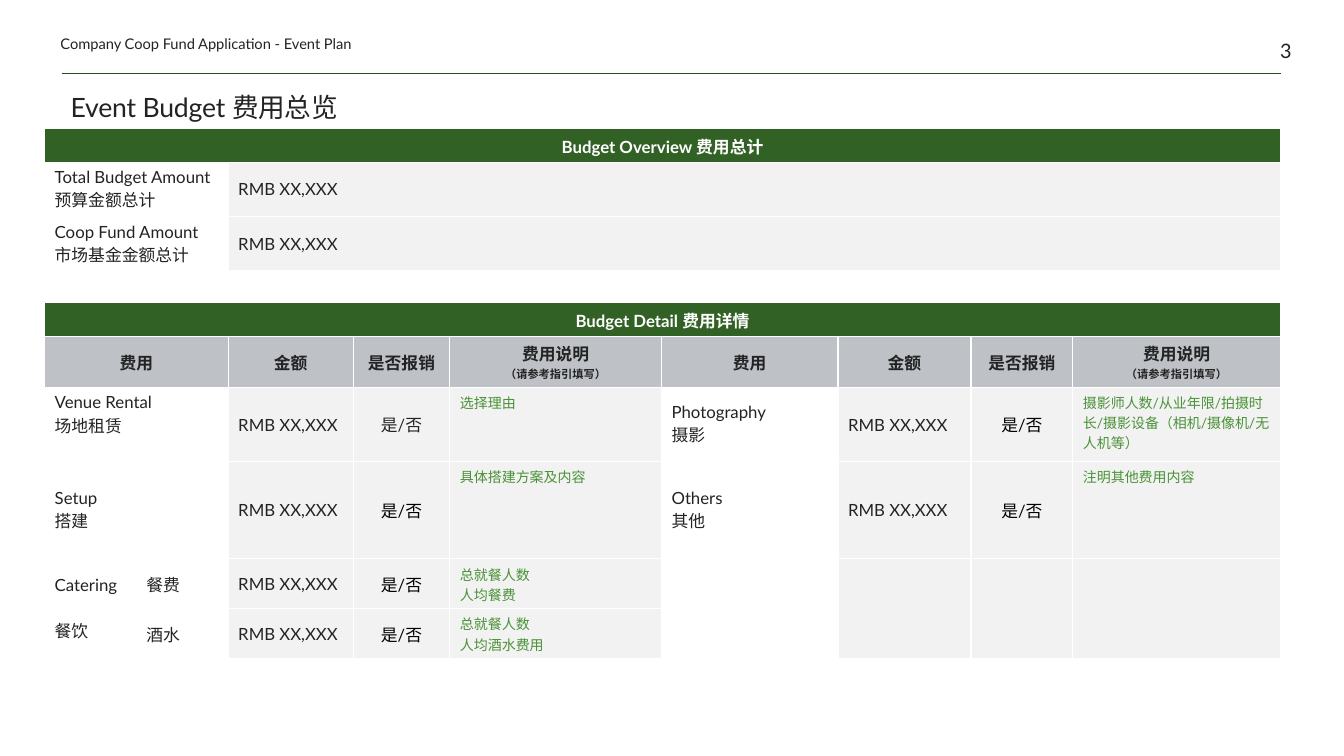
import pptx
import pptx.util
import pptx.dml.color
import pptx.enum.shapes
import pptx.enum.text
import pptx.oxml
import pptx.oxml.ns

RGBColor = pptx.dml.color.RGBColor
Align = pptx.enum.text.PP_ALIGN
Anchor = pptx.enum.text.MSO_ANCHOR

INK = RGBColor(0x23, 0x23, 0x23)
BLACK = RGBColor(0, 0, 0)
WHITE = RGBColor(0xFF, 0xFF, 0xFF)
BANNER_GREEN = RGBColor(0x32, 0x61, 0x25)
RULE_GREEN = RGBColor(0x28, 0x4E, 0x1E)
HINT_GREEN = RGBColor(0x4B, 0x92, 0x38)
HEADING_GREY = RGBColor(0xBE, 0xC1, 0xC6)
ENTRY_GREY = RGBColor(0xF2, 0xF2, 0xF2)

FONT = "Lato"
PAGE_WIDTH = pptx.util.Inches(13.33)
PAGE_HEIGHT = pptx.util.Inches(7.5)
COLUMN_SHARES = [6.83, 6.83, 9.3, 7.2, 15.75, 13.13, 9.9, 7.58, 15.45]
ROW_SHARES = [4.45, 7.2, 7.2, 4.2, 4.45, 6.75, 9.85, 12.85, 6.6, 6.6]

HEADINGS = ["费用", "金额", "是否报销", "费用说明\n（请参考指引填写）"]
AMOUNT = "RMB XX,XXX"
CHOICE = "是/否"
TOTALS = ["Total Budget Amount\n预算金额总计", "Coop Fund Amount\n市场基金金额总计"]
ENTRIES = [
    (6, 2, "选择理由"),
    (6, 6, "摄影师人数/从业年限/拍摄时长/摄影设备（相机/摄像机/无人机等）"),
    (7, 2, "具体搭建方案及内容"),
    (7, 6, "注明其他费用内容"),
    (8, 2, "总就餐人数\n人均餐费"),
    (9, 2, "总就餐人数\n人均酒水费用"),
]
LABELS = [
    (6, 0, "Venue Rental\n场地租赁"),
    (6, 5, "Photography\n摄影"),
    (7, 0, "Setup\n搭建"),
    (7, 5, "Others\n其他"),
    (8, 0, "Catering\n餐饮"),
    (8, 1, "餐费"),
    (9, 1, "酒水"),
]


def across(percent):
    return round(PAGE_WIDTH * percent / 100)


def down(percent):
    return round(PAGE_HEIGHT * percent / 100)


def place(shape, left, top, width, height):
    shape.left, shape.top = across(left), down(top)
    shape.width, shape.height = across(width), down(height)


def format_text(frame, size, color=INK, bold=False, align=Align.LEFT):
    for para in frame.paragraphs:
        para.alignment = align
        for span in para.runs:
            span.font.name = FONT
            span.font.size = pptx.util.Pt(size)
            span.font.bold = bold
            span.font.color.rgb = color


def add_label(page, text, area, size, align=Align.LEFT):
    box = page.shapes.add_textbox(0, 0, 0, 0)
    place(box, *area)
    frame = box.text_frame
    frame.word_wrap = True
    frame.vertical_anchor = Anchor.BOTTOM
    frame.margin_left = frame.margin_right = 0
    frame.margin_top = frame.margin_bottom = 0
    frame.text = text
    format_text(frame, size, align=align)


def add_rule(page):
    rule = page.shapes.add_connector(
        pptx.enum.shapes.MSO_CONNECTOR.STRAIGHT,
        across(4.65), down(9.73), across(95.35), down(9.73))
    rule.line.color.rgb = RULE_GREEN
    rule.line.width = pptx.util.Pt(0.5)
    properties = rule._element.spPr
    properties.append(pptx.oxml.parse_xml(
        f'<a:effectLst {pptx.oxml.ns.nsdecls("a")}/>'))


def set_title(page):
    title = page.shapes.title
    place(title, 4.5, 10, 90.62, 6.93)
    frame = title.text_frame
    frame.text = "Event Budget 费用总览"
    frame.word_wrap = True
    frame.vertical_anchor = Anchor.BOTTOM
    frame.paragraphs[0].line_spacing = 0.85
    format_text(frame, 19)
    frame.paragraphs[0].runs[0].font._element.set("spc", "-10")


def prepare_cell(cell):
    properties = cell._tc.get_or_add_tcPr()
    for side in ("lnL", "lnR", "lnT", "lnB"):
        properties.append(pptx.oxml.parse_xml(
            f'<a:{side} {pptx.oxml.ns.nsdecls("a")} w="12700"><a:solidFill>'
            f'<a:srgbClr val="{WHITE}"/></a:solidFill></a:{side}>'))
    cell.fill.solid()
    cell.fill.fore_color.rgb = WHITE
    cell.text_frame.paragraphs[0]._p.append(pptx.oxml.parse_xml(
        f'<a:endParaRPr {pptx.oxml.ns.nsdecls("a")} sz="1200"/>'))


def fill_cell(cell, text, fill=WHITE, size=12, color=INK, bold=False,
              align=Align.LEFT, anchor=Anchor.MIDDLE):
    cell.fill.solid()
    cell.fill.fore_color.rgb = fill
    cell.vertical_anchor = anchor
    if text:
        cell.text_frame.text = text
        format_text(cell.text_frame, size, color, bold, align)


def add_grid(page):
    frame = page.shapes.add_table(
        len(ROW_SHARES), len(COLUMN_SHARES), across(3.32), down(17),
        across(sum(COLUMN_SHARES)), down(sum(ROW_SHARES)))
    table = frame.table
    table.first_row = table.horz_banding = False
    for column, share in zip(table.columns, COLUMN_SHARES):
        column.width = across(share)
    for row, share in zip(table.rows, ROW_SHARES):
        row.height = down(share)
    for cell in table.iter_cells():
        prepare_cell(cell)
    return table


def merge(table, top, left, bottom, right):
    table.cell(top, left).merge(table.cell(bottom, right))


def fill_overview(table):
    for row, text in ((0, "Budget Overview 费用总计"), (4, "Budget Detail 费用详情")):
        merge(table, row, 0, row, 8)
        fill_cell(table.cell(row, 0), text, BANNER_GREEN, color=WHITE,
                  bold=True, align=Align.CENTER)
    for row in (1, 2, 3):
        merge(table, row, 0, row, 1)
        merge(table, row, 2, row, 8)
    for row, text in enumerate(TOTALS, 1):
        fill_cell(table.cell(row, 0), text)
        fill_cell(table.cell(row, 2), AMOUNT, ENTRY_GREY)


def fill_detail(table):
    for row in (5, 6, 7):
        merge(table, row, 0, row, 1)
    for column in (0, 5, 6, 7, 8):
        merge(table, 8, column, 9, column)
    for column, text in zip((0, 2, 3, 4, 5, 6, 7, 8), HEADINGS * 2):
        cell = table.cell(5, column)
        fill_cell(cell, text, HEADING_GREY, bold=True, align=Align.CENTER)
        for para in cell.text_frame.paragraphs[1:]:
            para.runs[0].font.size = pptx.util.Pt(8)
    for row, column, text in LABELS:
        fill_cell(table.cell(row, column), text)
    table.cell(6, 0).vertical_anchor = Anchor.TOP
    table.cell(8, 0).text_frame.paragraphs[1].space_before = pptx.util.Pt(16)
    for row, column, hint in ENTRIES:
        choice_color = INK if (row, column) == (6, 2) else BLACK
        fill_cell(table.cell(row, column), AMOUNT, ENTRY_GREY)
        fill_cell(table.cell(row, column + 1), CHOICE, ENTRY_GREY,
                  color=choice_color, align=Align.CENTER)
        fill_cell(table.cell(row, column + 2), hint, ENTRY_GREY, 10,
                  HINT_GREEN, anchor=Anchor.TOP)
    for column in (6, 7, 8):
        fill_cell(table.cell(8, column), "", ENTRY_GREY)


def main():
    deck = pptx.Presentation()
    deck.slide_width, deck.slide_height = PAGE_WIDTH, PAGE_HEIGHT
    page = deck.slides.add_slide(deck.slide_layouts[5])
    add_rule(page)
    add_label(page, "3", (89.05, 0, 7.05, 8.27), 14.2, Align.RIGHT)
    table = add_grid(page)
    fill_overview(table)
    fill_detail(table)
    set_title(page)
    add_label(page, "Company Coop Fund Application - Event Plan",
              (4.5, 3.87, 31.28, 3.07), 10.5)
    deck.save("out.pptx")


if __name__ == "__main__":
    main()
